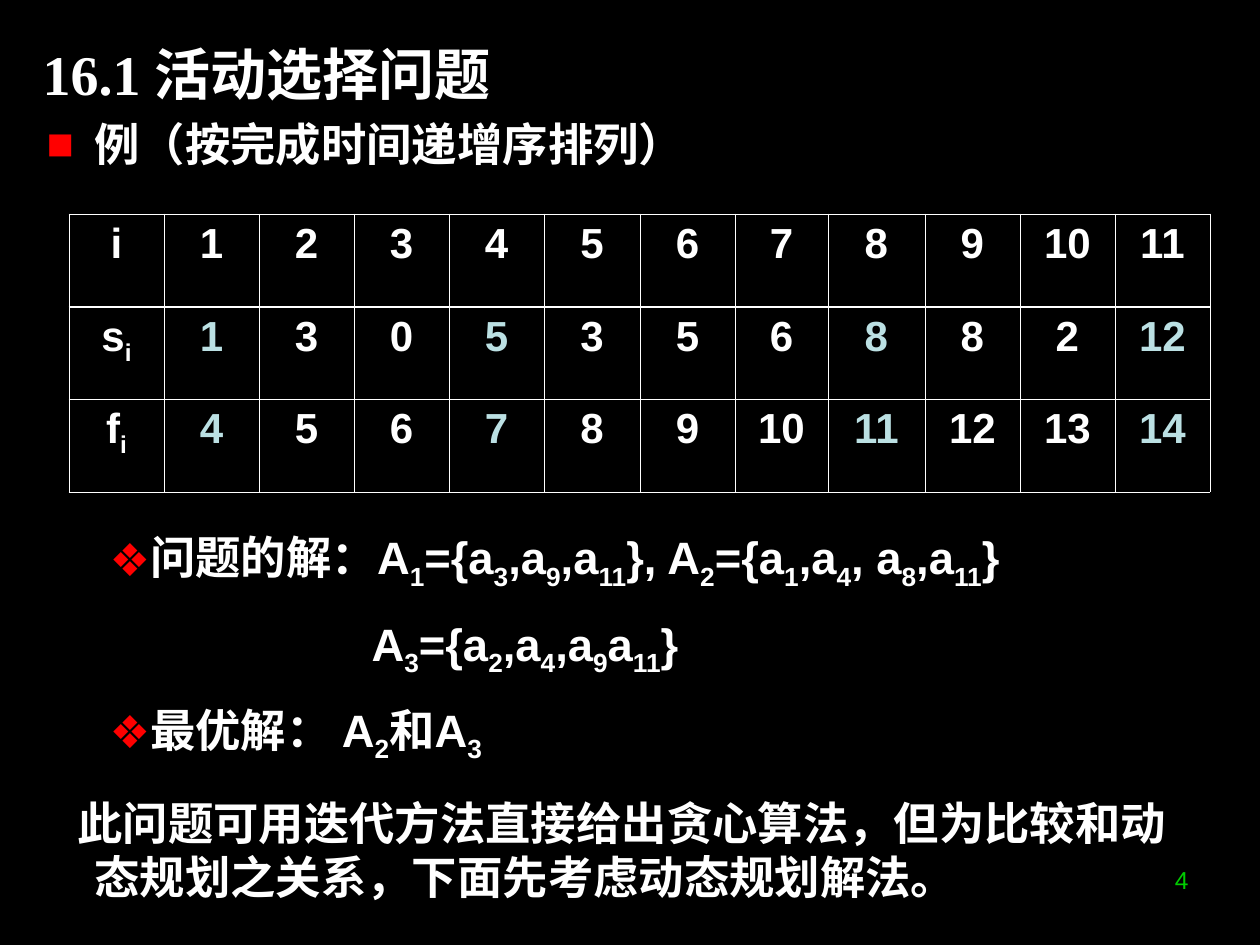
from lxml import etree
from pptx import Presentation
from pptx.dml.color import RGBColor
from pptx.enum.text import MSO_ANCHOR, MSO_AUTO_SIZE, PP_ALIGN
from pptx.oxml.ns import qn
from pptx.util import Emu, Pt

LEFT, CENTER, RIGHT = PP_ALIGN.LEFT, PP_ALIGN.CENTER, PP_ALIGN.RIGHT
TOP, MIDDLE = MSO_ANCHOR.TOP, MSO_ANCHOR.MIDDLE
NO_AUTOFIT = MSO_AUTO_SIZE.NONE
PX = 914400 / 126
COLORS = {"background": "000000", "text": "FFFFFF", "bullet": "FF0000",
          "chosen": "BBE0E3", "number": "00CC00"}

TITLE = "16.1 活动选择问题"
PAGE_NUMBER = "4"
# SUBSCRIPTS
BODY = [
    {"text": "例（按完成时间递增序排列）", "bullet": "■", "margin": 48, "indent": -48, "before": 0},
    {"text": "问题的解：A|1|={a|3|,a|9|,a|11|}, A|2|={a|1|,a|4|, a|8|,a|11|}",
     "level": 1, "bullet": "❖", "margin": 102, "indent": -39, "before": 205},
    {"text": "A|3|={a|2|,a|4|,a|9|a|11|}", "level": 1, "margin": 325, "indent": 0, "before": 14},
    {"text": "最优解： A|2|和A|3|", "level": 1, "bullet": "❖",
     "margin": 102, "indent": -39, "before": 14},
    {"text": "此问题可用迭代方法直接给出贪心算法，但为比较和动态规划之关系，下面先考虑动态规划解法。",
     "margin": 48, "indent": -17, "before": 17.5},
]
ACTIVITIES = [
    ["i", *range(1, 12)],
    ["s|i|", 1, 3, 0, 5, 3, 5, 6, 8, 8, 2, 12],
    ["f|i|", 4, 5, 6, 7, 8, 9, 10, 11, 12, 13, 14],
]
CHOSEN_ACTIVITIES = {1, 4, 8, 11}
COLUMN_WIDTHS = [95] * 5 + [96, 95, 93, 97] + [95] * 3
ROW_HEIGHTS = [93, 92, 93]
THIN, THICK = Pt(0.45), Pt(1.47)

TITLE_FONT = {"name": "Times New Roman", "size": Pt(32), "bold": True}
BODY_FONT = {"name": "Arial", "size": Pt(25.9), "bold": True}
TABLE_FONT = {"name": "Arial", "size": Pt(24), "bold": True}
NUMBER_FONT = {"name": "Arial", "size": Pt(14), "bold": False}


def px(*lengths):
    return [Emu(round(length * PX)) for length in lengths]


def place(shape, *box):
    for side, length in zip(("left", "top", "width", "height"), px(*box)):
        setattr(shape, side, length)


def write(paragraph, text, font_format, color="text", align=LEFT):
    paragraph.alignment = align
    for position, part in enumerate(text.split("|")):
        if not part:
            continue
        run = paragraph.add_run()
        run.text = part
        for attribute, value in font_format.items():
            setattr(run.font, attribute, value)
        run.font.color.rgb = RGBColor.from_string(COLORS[color])
        if position % 2:
            run._r.get_or_add_rPr().set("baseline", "-25000")


def add_color(parent, color):
    etree.SubElement(parent, qn("a:srgbClr"), val=COLORS[color])


def set_bullet(paragraph, symbol, margin, indent):
    properties = paragraph._p.get_or_add_pPr()
    for attribute, length in zip(("marL", "indent"), px(margin, indent)):
        properties.set(attribute, str(int(length)))
    if symbol:
        add_color(etree.SubElement(properties, qn("a:buClr")), "bullet")
        etree.SubElement(properties, qn("a:buFont"), typeface="Arial")
        etree.SubElement(properties, qn("a:buChar"), char=symbol)
    else:
        etree.SubElement(properties, qn("a:buNone"))


def set_borders(cell, widths):
    properties = cell._tc.get_or_add_tcPr()
    for position, (side, width) in enumerate(widths.items()):
        line = etree.Element(qn(f"a:{side}"), w=str(int(width)))
        add_color(etree.SubElement(line, qn("a:solidFill")), "text")
        properties.insert(position, line)


def prepare_frame(shape, anchor):
    settings = {"word_wrap": True, "auto_size": NO_AUTOFIT, "vertical_anchor": anchor}
    for attribute, value in settings.items():
        setattr(shape.text_frame, attribute, value)
    return shape.text_frame


def build_body(shape):
    place(shape, 34, 110, 1186, 779)
    frame = prepare_frame(shape, TOP)
    for position, item in enumerate(BODY):
        paragraph = frame.add_paragraph() if position else frame.paragraphs[0]
        paragraph.level = item.get("level", 0)
        set_bullet(paragraph, item.get("bullet"), item["margin"], item["indent"])
        paragraph.space_before = Pt(item["before"])
        write(paragraph, item["text"], BODY_FONT)


def build_table(slide):
    box = px(69, 214, sum(COLUMN_WIDTHS), sum(ROW_HEIGHTS))
    table = slide.shapes.add_table(len(ACTIVITIES), len(COLUMN_WIDTHS), *box).table
    table.first_row = table.horz_banding = False
    for column, width in zip(table.columns, px(*COLUMN_WIDTHS)):
        column.width = width
    for row, height in zip(table.rows, px(*ROW_HEIGHTS)):
        row.height = height
    for r, values in enumerate(ACTIVITIES):
        borders = {"lnL": THIN, "lnR": THIN,
                   "lnT": THICK if r == 1 else THIN, "lnB": THICK if r == 0 else THIN}
        for c, value in enumerate(values):
            cell = table.cell(r, c)
            cell.fill.background()
            set_borders(cell, borders)
            color = "chosen" if r and c in CHOSEN_ACTIVITIES else "text"
            write(cell.text_frame.paragraphs[0], str(value), TABLE_FONT, color, CENTER)


def main():
    deck = Presentation()
    deck.slide_width, deck.slide_height = px(1260, 945)
    slide = deck.slides.add_slide(deck.slide_layouts[1])
    slide.background.fill.solid()
    slide.background.fill.fore_color.rgb = RGBColor.from_string(COLORS["background"])

    title = slide.shapes.title
    place(title, 30, 32, 1140, 82)
    write(prepare_frame(title, MIDDLE).paragraphs[0], TITLE, TITLE_FONT)
    build_body(slide.placeholders[1])
    page_number = slide.shapes.add_textbox(*px(907, 859, 294, 66))
    write(prepare_frame(page_number, TOP).paragraphs[0], PAGE_NUMBER, NUMBER_FONT, "number", RIGHT)
    build_table(slide)
    deck.save("out.pptx")


if __name__ == "__main__":
    main()
